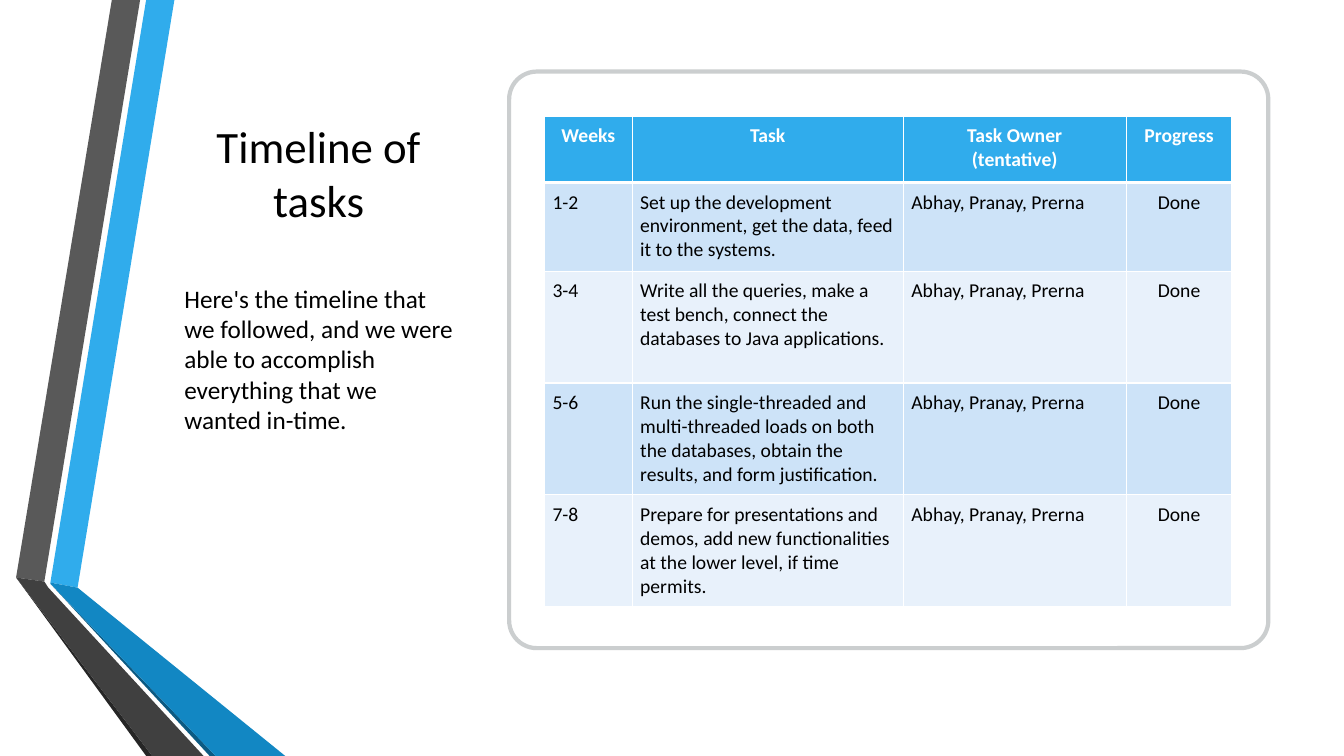
from pptx import Presentation, util as u
from pptx.dml.color import RGBColor
from pptx.enum import shapes, text
from pptx.oxml import parse_xml
from pptx.oxml.ns import nsdecls

PX = 9144  # 100 px to the inch
FONT = "Calibri"
MID = text.PP_ALIGN.CENTER
LEFT = text.PP_ALIGN.LEFT


def rgb(code):
    return RGBColor.from_string(code)


def write(frame, words, size=14, color="000000", bold=False, align=LEFT,
          before=0, after=0):
    frame.word_wrap = True
    para = frame.paragraphs[0]
    para.text = words
    para.alignment = align
    para.space_before, para.space_after = u.Pt(before), u.Pt(after)
    for run in para.runs:
        font = run.font
        font.name, font.size, font.bold = FONT, u.Pt(size), bold
        font.color.rgb = rgb(color)


deck = Presentation()
deck.slide_width, deck.slide_height = 1333 * PX, 750 * PX
slide = deck.slides.add_slide(deck.slide_layouts[6])

# Folded ribbons on the left
ribbons = [
    ("30ACEC", [(50, 578), (77, 583), (173, 0), (145, 0)]),
    ("595959", [(139, 0), (111, 0), (16, 573), (44, 577)]),
    ("262626", [(16, 573), (145, 750), (151, 750)]),
    ("0C5A82", [(50, 579), (208, 750), (214, 750)]),
    ("1287C3", [(50, 578), (50, 579), (214, 750), (283, 750), (77, 583)]),
    ("404040", [(16, 573), (151, 750), (202, 750), (48, 583), (44, 577)]),
]
for color, points in ribbons:
    path = slide.shapes.build_freeform(*points[0], scale=PX)
    path.add_line_segments(points[1:], close=True)
    band = path.convert_to_shape()
    band.shadow.inherit = False
    band.fill.solid()
    band.fill.fore_color.rgb = rgb(color)
    band.line.fill.background()

# Title and summary
summary = ("Here's the timeline that we followed, and we were able to "
           "accomplish everything that we wanted in-time.")
notes = [
    ((162, 75, 308, 192), "Timeline of tasks", dict(size=32, align=MID)),
    ((173, 248, 288, 216), summary, dict(size=18, before=3.6, after=6)),
]
for place, words, style in notes:
    frame = slide.shapes.add_textbox(*(n * PX for n in place)).text_frame
    frame.vertical_anchor = text.MSO_ANCHOR.MIDDLE
    write(frame, words, **style)

# Rounded frame
card = slide.shapes.add_shape(shapes.MSO_SHAPE.ROUNDED_RECTANGLE,
                              505 * PX, 71 * PX, 753 * PX, 572 * PX)
card.adjustments[0] = 0.048
card.shadow.inherit = False
card.fill.solid()
card.fill.fore_color.rgb = rgb("FFFFFF")
card.line.color.rgb = rgb("CBCECF")
card.line.width = u.Pt(3)

# Timeline table
team = "Abhay, Pranay, Prerna"
rows = [
    ("Weeks", "Task", "Task Owner\v(tentative)", "Progress"),
    ("1-2", "Set up the development environment, get the data, feed it to "
     "the systems.", team, "Done"),
    ("3-4", "Write all the queries, make a test bench, connect the databases "
     "to Java applications.", team, "Done"),
    ("5-6", "Run the single-threaded and multi-threaded loads on both the "
     "databases, obtain the results, and form justification.", team, "Done"),
    ("7-8", "Prepare for presentations and demos, add new functionalities at "
     "the lower level, if time permits.", team, "Done"),
]
widths = [87, 269, 221, 105]
heights = [66, 88, 111, 111, 111]
grid = slide.shapes.add_table(len(rows), len(widths), 540 * PX, 115 * PX,
                              sum(widths) * PX, sum(heights) * PX).table
for col, width in zip(grid.columns, widths):
    col.width = width * PX
for r, (row, height) in enumerate(zip(rows, heights)):
    grid.rows[r].height = height * PX
    head = r == 0
    fill = "30ACEC" if head else ("E8F1FB", "CDE3F8")[r % 2]
    for c, words in enumerate(row):
        cell = grid.cell(r, c)
        cell.margin_left = cell.margin_right = 8 * PX
        cell.margin_top = cell.margin_bottom = 8 * PX
        write(cell.text_frame, words, bold=head,
              color="FFFFFF" if head else "000000",
              align=MID if head or c == 3 else LEFT)
        # White borders, thicker under the header; they precede the fill
        props = cell._tc.get_or_add_tcPr()
        for side in "LRTB":
            thick = (head and side == "B") or (r == 1 and side == "T")
            props.append(parse_xml(
                f'<a:ln{side} {nsdecls("a")} w="{u.Pt(3 if thick else 1)}">'
                '<a:solidFill><a:srgbClr val="FFFFFF"/></a:solidFill>'
                f'</a:ln{side}>'))
        cell.fill.solid()
        cell.fill.fore_color.rgb = rgb(fill)

deck.save("out.pptx")
